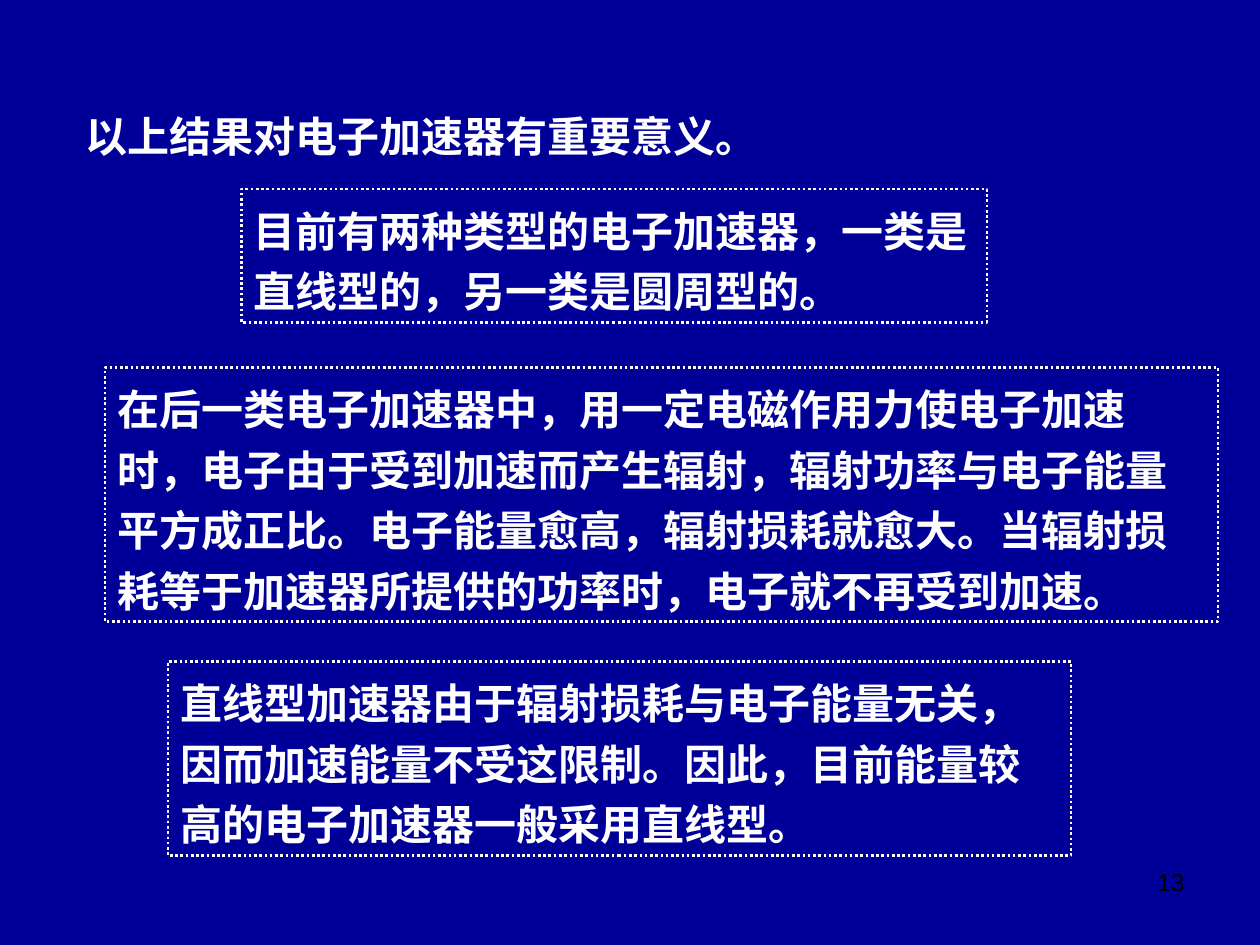
from lxml.etree import SubElement
from pptx import Presentation
from pptx.dml.color import RGBColor
from pptx.enum.dml import MSO_LINE
from pptx.enum.shapes import MSO_SHAPE
from pptx.enum.text import MSO_ANCHOR, MSO_AUTO_SIZE, PP_ALIGN
from pptx.oxml.ns import qn
from pptx.util import Inches, Pt

NAVY = RGBColor(0x00, 0x00, 0x99)
WHITE = RGBColor(0xFF, 0xFF, 0xFF)
BLACK = RGBColor(0x00, 0x00, 0x00)
CHINESE_FONT = "Noto Sans CJK SC"
NUMBER_FONT = "Arial"
CELL = Inches(1) / 12  # the slide is a grid of 120 columns by 90 rows

HEADING = "以上结果对电子加速器有重要意义。"
# column, row, columns wide, rows high, text
FRAMES = [
    (23, 18, 71, 12.7, "目前有两种类型的电子加速器，一类是直线型的，另一类是圆周型的。"),
    (10, 35, 106, 24.2,
     "在后一类电子加速器中，用一定电磁作用力使电子加速时，"
     "电子由于受到加速而产生辐射，辐射功率与电子能量平方成正比。"
     "电子能量愈高，辐射损耗就愈大。"
     "当辐射损耗等于加速器所提供的功率时，电子就不再受到加速。"),
    (16, 63, 86, 18.5,
     "直线型加速器由于辐射损耗与电子能量无关，因而加速能量不受这限制。"
     "因此，目前能量较高的电子加速器一般采用直线型。"),
]


def grid(*cells):
    return [round(cell * CELL) for cell in cells]


def write(box, text, font_name, size, color, bold=False,
          align=PP_ALIGN.LEFT, line_spacing=1.0):
    frame = box.text_frame
    frame.text = text
    frame.word_wrap = True
    frame.vertical_anchor = MSO_ANCHOR.TOP
    para = frame.paragraphs[0]
    para.alignment = align
    para.line_spacing = line_spacing
    # Keep punctuation inside the text area at line ends.
    para._p.get_or_add_pPr().set("hangingPunct", "0")
    span = para.runs[0]
    span.font.name = font_name
    span.font.size = Pt(size)
    span.font.bold = bold
    span.font.color.rgb = color
    # East Asian characters take their typeface from a separate element.
    SubElement(span.font._element, qn("a:ea"), typeface=font_name)


def write_statement(box, text, line_spacing):
    write(box, text, CHINESE_FONT, 24, WHITE, bold=True, line_spacing=line_spacing)
    box.text_frame.auto_size = MSO_AUTO_SIZE.SHAPE_TO_FIT_TEXT


def add_heading(page):
    box = page.shapes.add_textbox(*grid(7, 8, 113, 7.9))
    write_statement(box, HEADING, line_spacing=1.4)


def add_dotted_frame(page, column, row, width, height, text):
    box = page.shapes.add_shape(MSO_SHAPE.RECTANGLE, *grid(column, row, width, height))
    box.shadow.inherit = False
    box.fill.background()
    box.line.color.rgb = WHITE
    box.line.width = Pt(1.5)
    box.line.dash_style = MSO_LINE.ROUND_DOT
    write_statement(box, text, line_spacing=1.2)


def add_page_number(page):
    box = page.shapes.add_textbox(*grid(86, 82, 28, 6.25))
    write(box, "13", NUMBER_FONT, 14, BLACK, align=PP_ALIGN.RIGHT)


def main():
    deck = Presentation()
    deck.slide_width, deck.slide_height = grid(120, 90)
    page = deck.slides.add_slide(deck.slide_layouts[6])
    page.background.fill.solid()
    page.background.fill.fore_color.rgb = NAVY
    add_heading(page)
    for frame in FRAMES:
        add_dotted_frame(page, *frame)
    add_page_number(page)
    deck.save("out.pptx")


if __name__ == "__main__":
    main()
